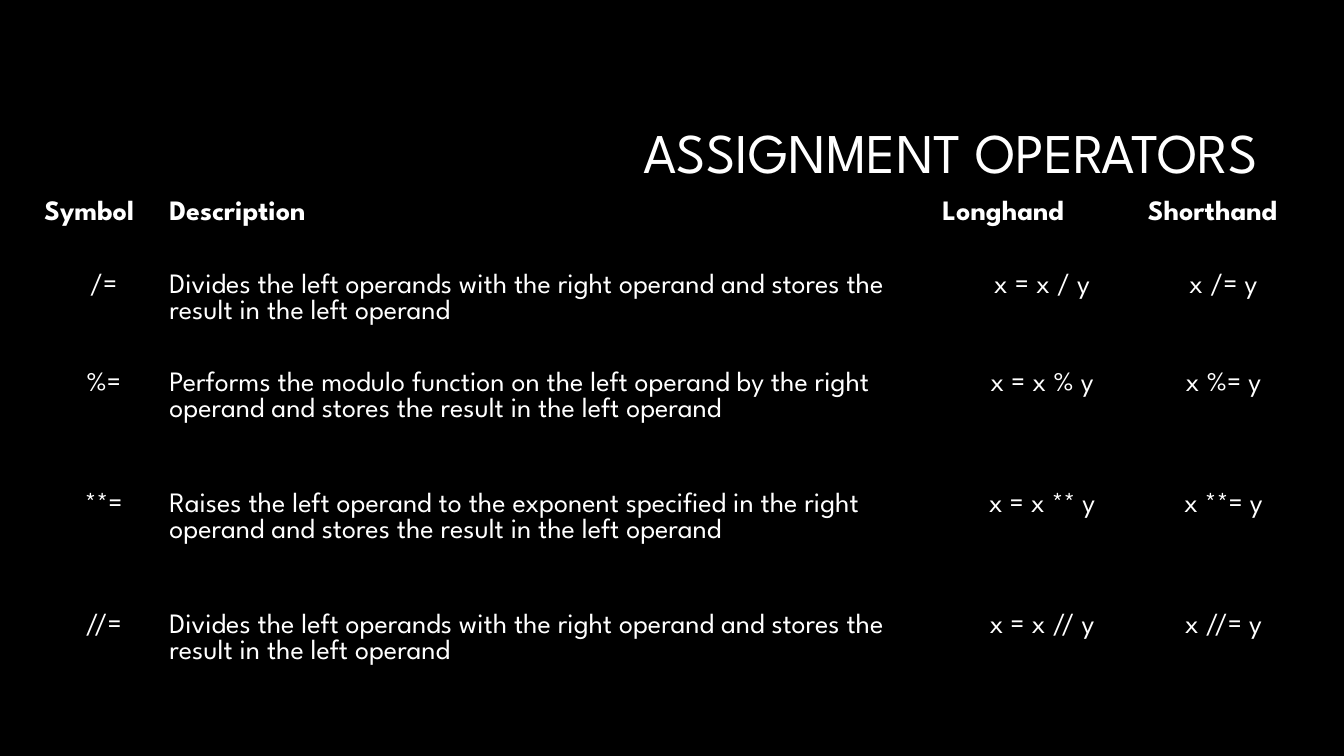
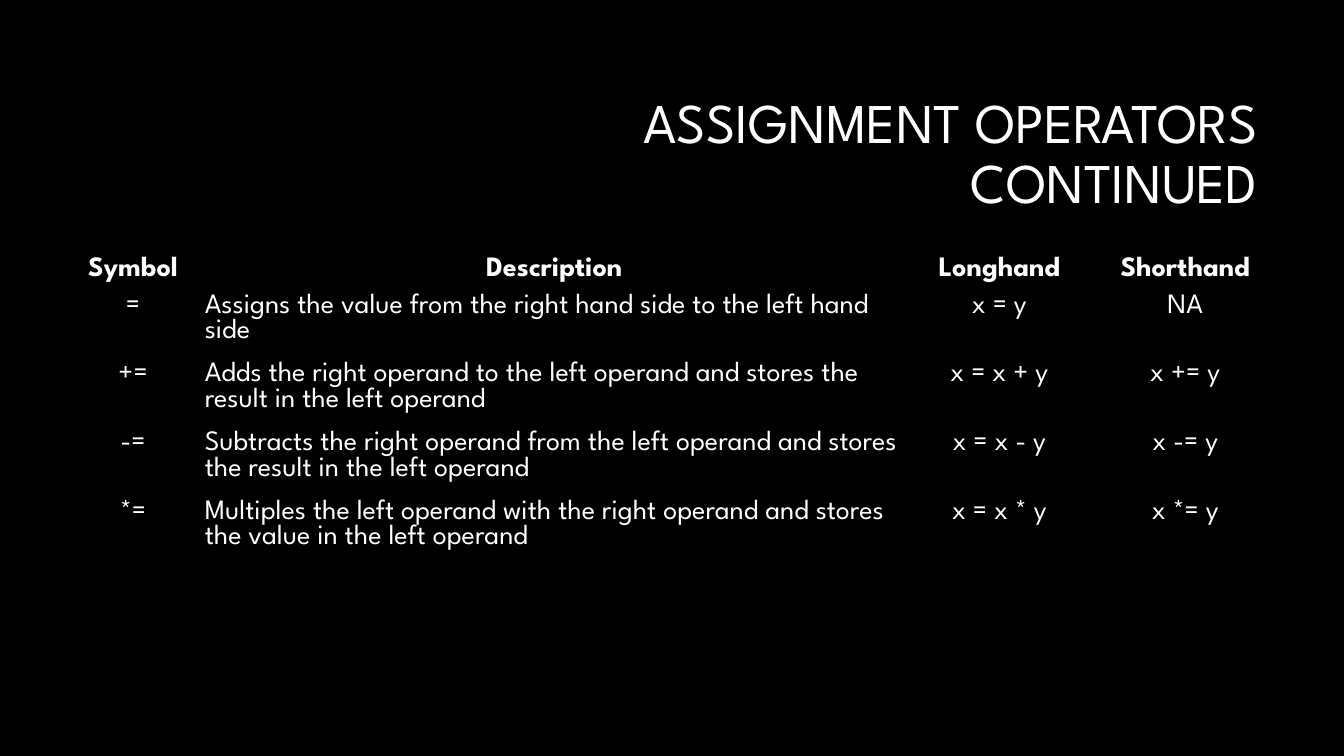
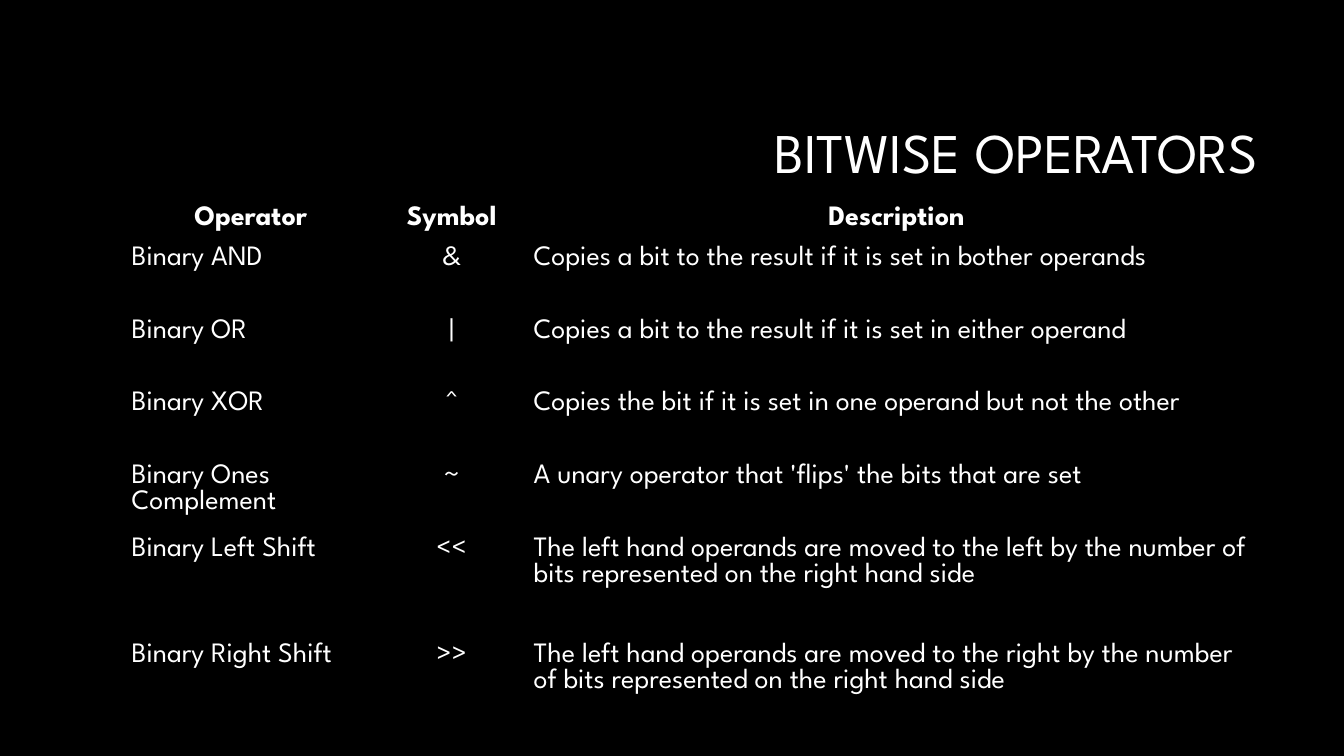
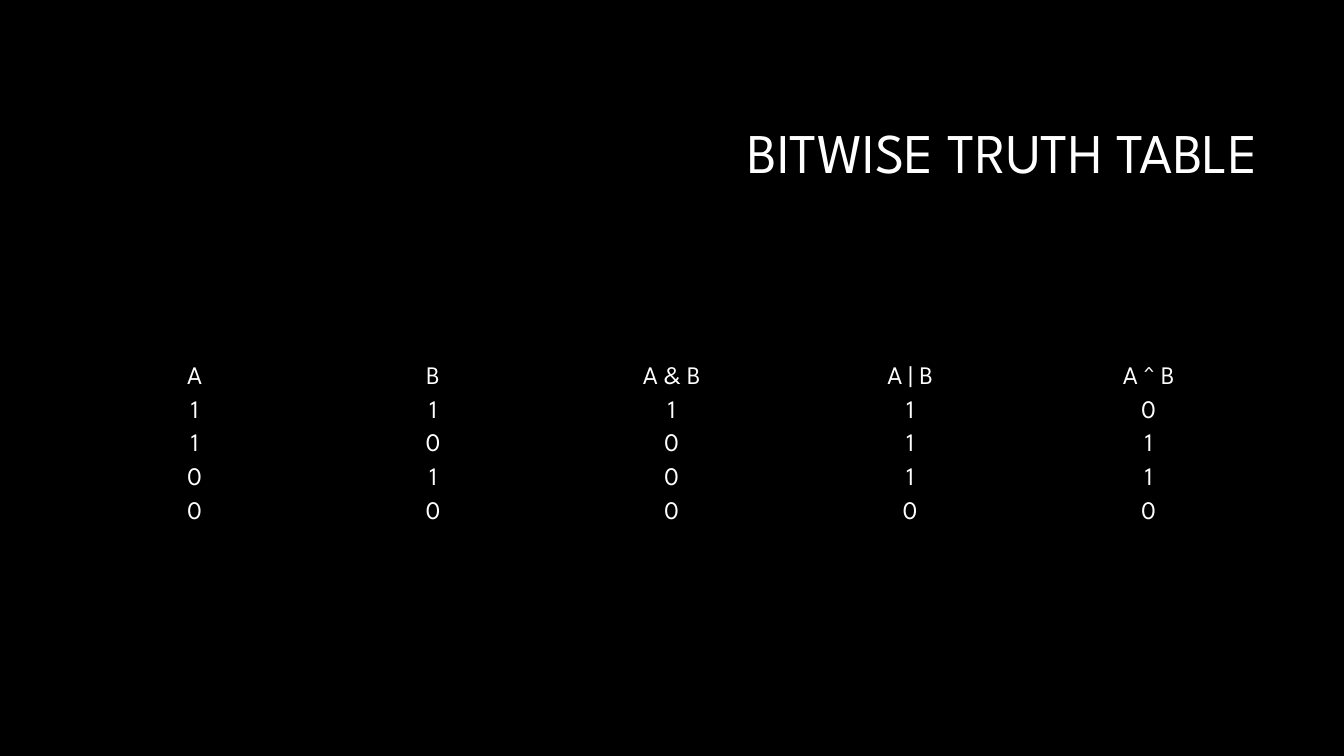
from pptx import Presentation
from pptx.dml.color import RGBColor
from pptx.enum import text
from pptx.util import Cm, Pt

COLORS = {"back": "000000", "ink": "FFFFFF"}
FONT = "League Spartan"
NO_STYLE_NO_GRID = "{2D5ABB26-0587-4C30-8999-92F81FD0307C}"
ALIGN = {"l": text.PP_ALIGN.LEFT, "c": text.PP_ALIGN.CENTER, "r": text.PP_ALIGN.RIGHT}


def write(tf, content, size=20, bold=False, align="l", spacing=None):
    """Fill a text frame; a newline starts a paragraph, a vertical tab breaks a line."""
    tf.text = content
    for p in tf.paragraphs:
        p.alignment = ALIGN[align]
        if spacing:
            p.line_spacing = spacing
        for r in p.runs:
            r.font.name = FONT
            r.font.size = Pt(size)
            r.font.bold = bold
            r.font.color.rgb = RGBColor.from_string(COLORS["ink"])


class Deck:
    def __init__(self):
        self.prs = Presentation()
        self.prs.slide_width, self.prs.slide_height = Cm(33.87), Cm(19.05)
        fill = self.prs.slide_master.background.fill
        fill.solid()
        fill.fore_color.rgb = RGBColor.from_string(COLORS["back"])
        self.slide = None

    def new_slide(self, title):
        self.slide = self.prs.slides.add_slide(self.prs.slide_layouts[5])
        sp = self.slide.shapes.title
        sp.left, sp.top, sp.width, sp.height = Cm(8.05), Cm(2.13), Cm(23.9), Cm(3.58)
        tf = sp.text_frame
        tf.word_wrap = True
        tf.vertical_anchor = text.MSO_ANCHOR.MIDDLE
        write(tf, title, size=40, align="r", spacing=0.9)

    def table(self, left, top, widths, heights, rows, aligns, head_aligns=None,
              head_bold=True, size=20, margin=0.08):
        """Add a plain table; aligns holds one letter for each column."""
        frame = self.slide.shapes.add_table(
            len(rows), len(widths), Cm(left), Cm(top), Cm(sum(widths)), Cm(sum(heights)))
        table = frame.table
        table.first_row = table.horz_banding = False
        for style in frame._element.xpath(".//a:tableStyleId"):
            style.text = NO_STYLE_NO_GRID
        for column, width in zip(table.columns, widths):
            column.width = Cm(width)
        for i, (row, height, values) in enumerate(zip(table.rows, heights, rows)):
            row.height = Cm(height)
            is_head = i == 0
            row_aligns = head_aligns if is_head and head_aligns else aligns
            for cell, value, align in zip(row.cells, values, row_aligns):
                cell.fill.background()
                cell.margin_left = cell.margin_right = Cm(margin)
                cell.margin_top = cell.margin_bottom = Cm(0.13)
                write(cell.text_frame, value, size=size, align=align,
                      bold=is_head and head_bold)


OPERATOR_HEAD = ("Symbol", "Description", "Longhand", "Shorthand")


def main():
    deck = Deck()

    deck.new_slide("ASSIGNMENT OPERATORS")
    divides = ("Divides the left operands with the right operand and stores the "
               "result in the left operand")
    deck.table(1.04, 4.93, [3.15, 19.48, 5.18, 3.96], [1.85, 2.46, 3.05, 3.05, 2.46], [
        OPERATOR_HEAD,
        ("/=", divides, "x = x / y", "x /= y"),
        ("%=", "Performs the modulo function on the left operand by the right operand "
               "and stores the result in the left operand", "x = x % y", "x %= y"),
        ("**=", "Raises the left operand to the exponent specified in the right operand "
                "and stores the result in the left operand", "x = x ** y", "x **= y"),
        ("//=", divides, "x = x // y", "x //= y"),
    ], "clcc", head_aligns="llll")

    deck.new_slide("ASSIGNMENT OPERATORS\vCONTINUED")
    deck.table(1.63, 6.35, [3.45, 17.78, 4.65, 4.72], [0.91] + [1.73] * 3 + [2.41], [
        OPERATOR_HEAD,
        ("=", "Assigns the value from the right hand side to the left hand side",
         "x = y", "NA"),
        ("+=", "Adds the right operand to the left operand and stores the result "
               "in the left operand", "x = x + y", "x += y"),
        ("-=", "Subtracts the right operand from the left operand and stores the result "
               "in the left operand", "x = x - y", "x -= y"),
        ("*=", "Multiples the left operand with the right operand and stores the value "
               "in the left operand", "x = x * y", "x *= y"),
    ], "clcc", head_aligns="cccc")

    deck.new_slide("BITWISE OPERATORS")
    shift = ("The left hand operands are moved to the {} by the number of bits "
             "represented on the right hand side")
    deck.table(3.12, 5.05, [6.4, 3.73, 18.69], [1.02] + [1.83] * 4 + [2.67] * 2, [
        ("Operator", "Symbol", "Description"),
        ("Binary AND", "&", "Copies a bit to the result if it is set in bother operands"),
        ("Binary OR", "|", "Copies a bit to the result if it is set in either operand"),
        ("Binary XOR", "^", "Copies the bit if it is set in one operand but not the other"),
        ("Binary Ones\nComplement", "~", "A unary operator that 'flips' the bits that are set"),
        ("Binary Left Shift", "<<", shift.format("left")),
        ("Binary Right Shift", ">>", shift.format("right")),
    ], "lcl", head_aligns="ccc", margin=0.2)

    deck.new_slide("BITWISE TRUTH TABLE")
    truth = [[str(v) for v in (a, b, a & b, a | b, a ^ b)] for a in (1, 0) for b in (1, 0)]
    deck.table(1.9, 9.12, [6.01] * 5, [0.84] * 5,
               [("A", "B", "A & B", "A | B", "A ^ B")] + truth,
               "ccccc", head_bold=False, size=18, margin=0.25)

    deck.prs.save("out.pptx")


if __name__ == "__main__":
    main()
